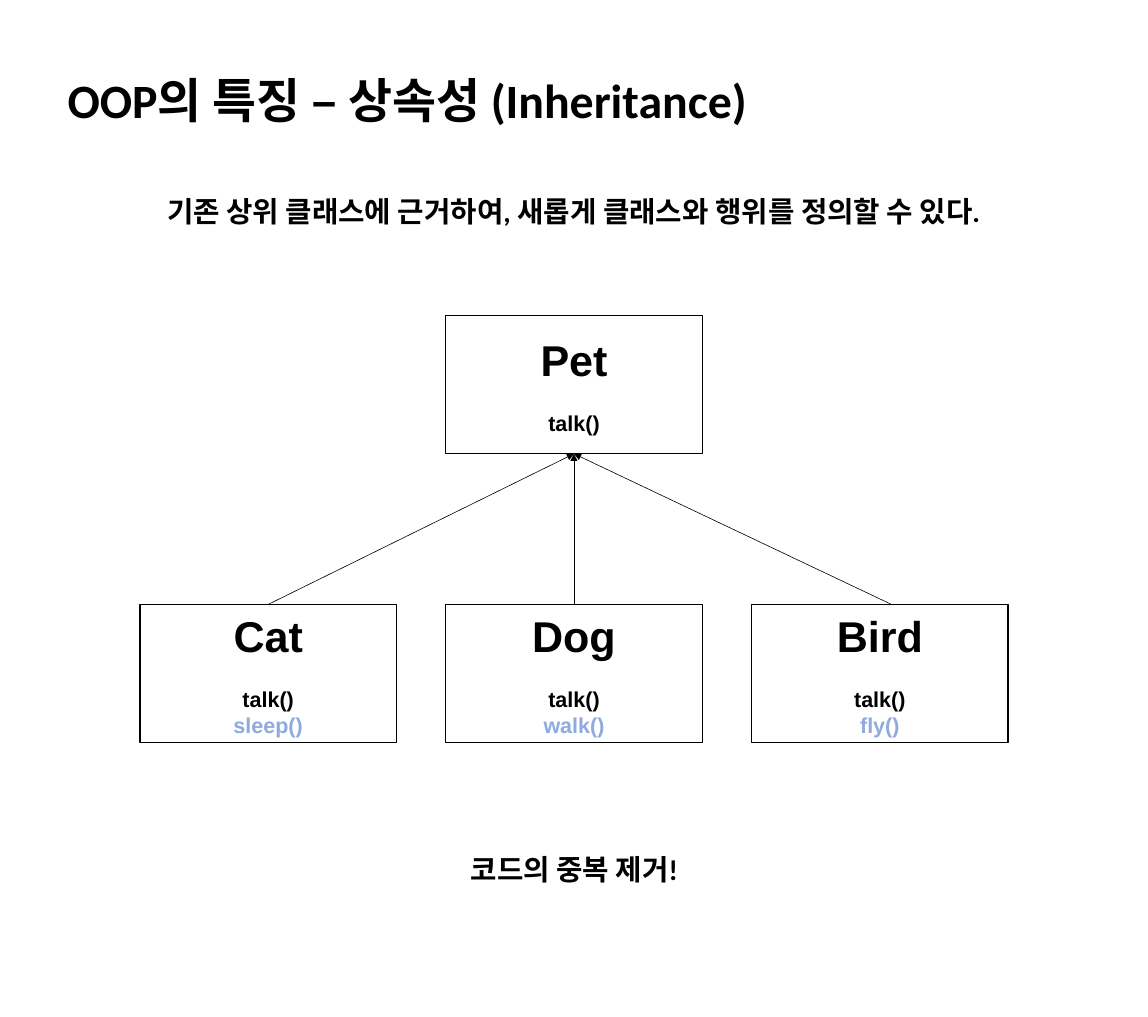
from dataclasses import dataclass

from lxml import etree
from pptx import Presentation
from pptx.dml.color import RGBColor
from pptx.enum.shapes import MSO_CONNECTOR, MSO_SHAPE
from pptx.enum.text import MSO_ANCHOR, MSO_AUTO_SIZE, PP_ALIGN
from pptx.oxml.ns import qn
from pptx.slide import Slide
from pptx.util import Pt

RECTANGLE = MSO_SHAPE.RECTANGLE
STRAIGHT = MSO_CONNECTOR.STRAIGHT
LEFT, CENTER = PP_ALIGN.LEFT, PP_ALIGN.CENTER

BLACK = RGBColor(0x00, 0x00, 0x00)
BLUE = RGBColor(0x8F, 0xAA, 0xDC)

EMU_PER_PX = 9525
CLASS_W, CLASS_H = 286, 154
PARENT_TOP, CHILD_TOP = 352, 674
CHILD_LEFT, CHILD_PITCH = 156, 341
PARENT_LEFT = CHILD_LEFT + CHILD_PITCH
METHOD_GAP = Pt(20.7)


@dataclass(frozen=True)
class Caption:
    text: str
    left: int
    top: int
    width: int
    height: int
    size: int
    align: PP_ALIGN
    line_spacing: float


@dataclass(frozen=True)
class PetClass:
    name: str
    own_method: str
    arrow_x: int


CAPTIONS = [
    Caption("OOP의 특징 – 상속성 (Inheritance)", 66, 74, 807, 74, 40, LEFT, 1.0),
    Caption("기존 상위 클래스에 근거하여, 새롭게 클래스와 행위를 정의할 수 있다.",
            141, 192, 997, 61, 24, CENTER, 1.5),
    Caption("코드의 중복 제거!", 505, 926, 271, 61, 24, CENTER, 1.5),
]
CHILDREN = [
    PetClass("Cat", "sleep()", 299),
    PetClass("Dog", "walk()", 640),
    PetClass("Bird", "fly()", 994),
]


def px(value: int) -> int:
    return value * EMU_PER_PX


def add_caption(slide: Slide, caption: Caption) -> None:
    box = slide.shapes.add_textbox(px(caption.left), px(caption.top),
                                   px(caption.width), px(caption.height))
    frame = box.text_frame
    frame.word_wrap = False
    frame.auto_size = MSO_AUTO_SIZE.SHAPE_TO_FIT_TEXT
    frame.text = caption.text
    paragraph = frame.paragraphs[0]
    paragraph.alignment = caption.align
    paragraph.line_spacing = caption.line_spacing
    font = paragraph.runs[0].font
    font.name, font.size, font.bold = "Calibri", Pt(caption.size), True
    font.color.rgb = BLACK


def add_class(slide: Slide, left: int, top: int, name: str, methods: list[str]) -> None:
    """Draw a class box: its name, the inherited method, then its own method."""
    box = slide.shapes.add_shape(RECTANGLE, px(left), px(top), px(CLASS_W), px(CLASS_H))
    box.shadow.inherit = False
    box.fill.background()
    box.line.color.rgb = BLACK
    box.line.width = Pt(1)
    frame = box.text_frame
    frame.vertical_anchor = MSO_ANCHOR.MIDDLE
    frame.text = "\n".join([name, *methods])
    for row, paragraph in enumerate(frame.paragraphs):
        paragraph.alignment = CENTER
        font = paragraph.runs[0].font
        font.name, font.bold = "Arial", True
        font.size = Pt(36 if row == 0 else 18)
        font.color.rgb = BLUE if row == 2 else BLACK
    frame.paragraphs[1].space_before = METHOD_GAP


def add_inheritance_arrow(slide: Slide, start_x: int) -> None:
    arrow = slide.shapes.add_connector(
        STRAIGHT, px(start_x), px(CHILD_TOP),
        px(PARENT_LEFT + CLASS_W // 2), px(PARENT_TOP + CLASS_H))
    arrow.line.color.rgb = BLACK
    arrow.line.width = Pt(0.5)
    etree.SubElement(arrow.line._get_or_add_ln(), qn("a:tailEnd"), type="triangle")
    etree.SubElement(arrow._element.spPr, qn("a:effectLst"))


def main() -> None:
    deck = Presentation()
    deck.slide_width, deck.slide_height = px(1280), px(1134)
    slide = deck.slides.add_slide(deck.slide_layouts[6])

    # Title, explanation and conclusion
    for caption in CAPTIONS:
        add_caption(slide, caption)

    # Class hierarchy
    add_class(slide, PARENT_LEFT, PARENT_TOP, "Pet", ["talk()"])
    for column, child in enumerate(CHILDREN):
        add_class(slide, CHILD_LEFT + column * CHILD_PITCH, CHILD_TOP,
                  child.name, ["talk()", child.own_method])

    # Arrows from each child to the parent
    for child in CHILDREN:
        add_inheritance_arrow(slide, child.arrow_x)

    deck.save("out.pptx")


if __name__ == "__main__":
    main()
